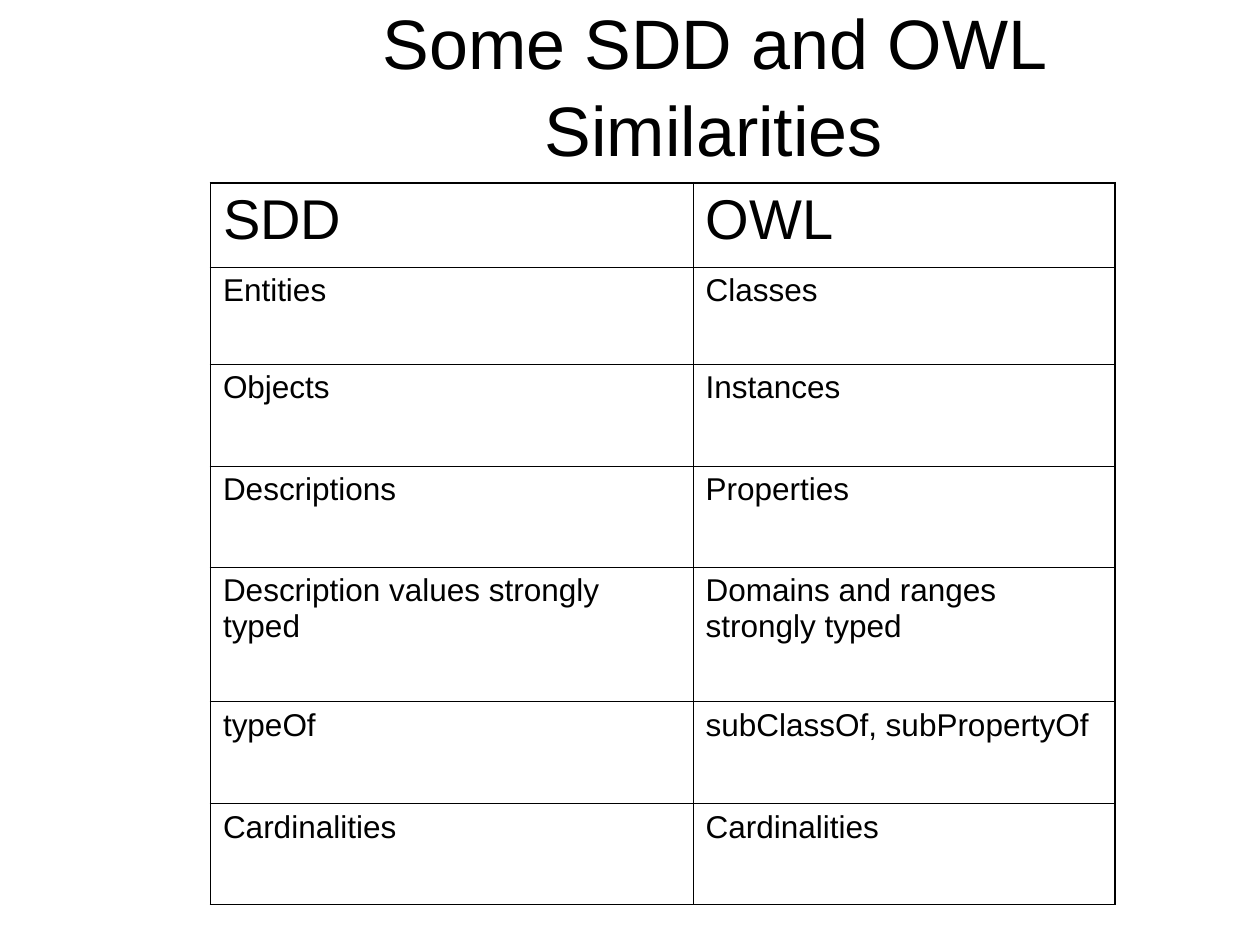
import dataclasses

import pptx
import pptx.dml.color
import pptx.enum.text
import pptx.oxml
import pptx.oxml.ns
import pptx.util

Inches = pptx.util.Inches
Pt = pptx.util.Pt
INK = "000000"
THICK, THIN = 1.08, 0.45


@dataclasses.dataclass
class Row:
    sdd: str
    owl: str
    height: float
    size: int = 18


ROWS = [
    Row("SDD", "OWL", 0.67, 32),
    Row("Entities", "Classes", 0.77),
    Row("Objects", "Instances", 0.81),
    Row("Descriptions", "Properties", 0.8),
    Row("Description values strongly typed", "Domains and ranges strongly typed", 1.07),
    Row("typeOf", "subClassOf, subPropertyOf", 0.81),
    Row("Cardinalities", "Cardinalities", 0.8),
]
WIDTHS = [3.83, 3.35]


def color(value: str) -> pptx.dml.color.RGBColor:
    return pptx.dml.color.RGBColor.from_string(value)


def style(frame, size: int) -> None:
    for run in frame.paragraphs[0].runs:
        run.font.name = "Arial"
        run.font.size = Pt(size)
        run.font.color.rgb = color(INK)


def border(cell, side: str, width: float) -> None:
    space = pptx.oxml.ns.nsdecls("a")
    line = pptx.oxml.parse_xml(
        f'<a:{side} {space} w="{int(Pt(width))}"><a:solidFill>'
        f'<a:srgbClr val="{INK}"/></a:solidFill></a:{side}>'
    )
    cell._tc.get_or_add_tcPr().append(line)


def title(slide) -> None:
    box = slide.shapes.add_textbox(Inches(1.83), Inches(0.3), Inches(7.67), Inches(0.72))
    frame = box.text_frame
    frame.word_wrap = True
    frame.vertical_anchor = pptx.enum.text.MSO_ANCHOR.MIDDLE
    frame.text = "Some SDD and OWL Similarities"
    frame.paragraphs[0].alignment = pptx.enum.text.PP_ALIGN.CENTER
    frame.paragraphs[0].line_spacing = 1.04
    style(frame, 40)


def grid(slide, rows: list[Row]) -> None:
    high = sum(row.height for row in rows)
    table = slide.shapes.add_table(
        len(rows), len(WIDTHS), Inches(1.67), Inches(1.45), Inches(sum(WIDTHS)), Inches(high)
    ).table
    table.first_row = table.horz_banding = False
    for col, width in zip(table.columns, WIDTHS):
        col.width = Inches(width)
    for i, row in enumerate(rows):
        table.rows[i].height = Inches(row.height)
        for j, text in enumerate((row.sdd, row.owl)):
            cell = table.cell(i, j)
            cell.text_frame.text = text
            style(cell.text_frame, row.size)
            edges = {
                "lnL": j == 0,
                "lnR": j == len(WIDTHS) - 1,
                "lnT": i == 0,
                "lnB": i == len(rows) - 1,
            }
            for side, outer in edges.items():
                border(cell, side, THICK if outer else THIN)
            cell.fill.background()


def main() -> None:
    """Build the slide comparing SDD and OWL."""
    deck = pptx.Presentation()
    deck.slide_width, deck.slide_height = Inches(10), Inches(7.5)
    slide = deck.slides.add_slide(deck.slide_layouts[6])
    slide.background.fill.solid()
    slide.background.fill.fore_color.rgb = color("FFFFFF")
    title(slide)
    grid(slide, ROWS)
    deck.save("out.pptx")


if __name__ == "__main__":
    main()
